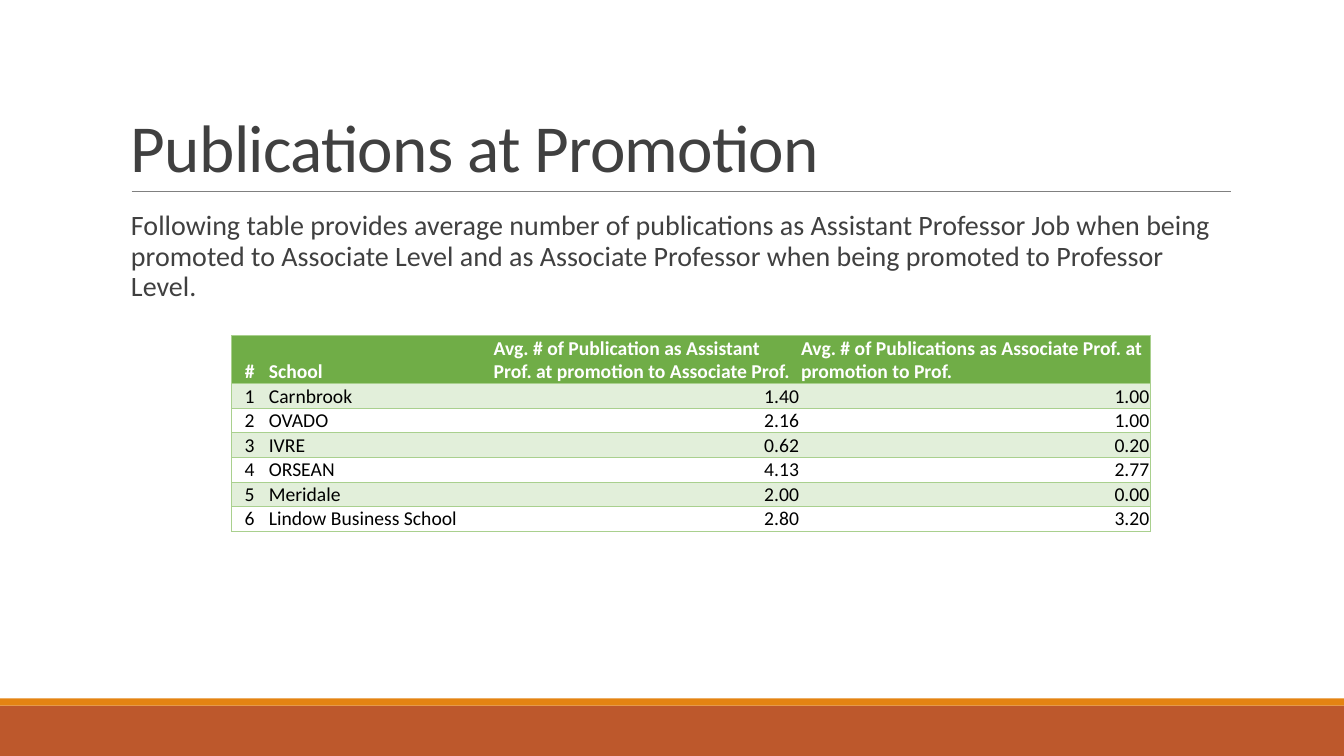
from lxml.etree import SubElement
from pptx import Presentation
from pptx.dml.color import RGBColor
from pptx.enum.shapes import MSO_CONNECTOR, MSO_SHAPE
from pptx.enum.text import MSO_ANCHOR, PP_ALIGN
from pptx.oxml.ns import qn
from pptx.util import Pt

COLORS = {
    "rust": "BD582C",
    "orange": "E48312",
    "rule": "808080",
    "text": "404040",
    "header": "70AD47",
    "band": "E2EFDA",
    "border": "A9D08E",
    "white": "FFFFFF",
    "black": "000000",
}
INTRODUCTION = (
    "Following table provides average number of publications as Assistant Professor Job "
    "when being promoted to Associate Level and as Associate Professor when being "
    "promoted to Professor Level."
)
HEADINGS = (
    "#",
    "School",
    "Avg. # of Publication as Assistant Prof. at promotion to Associate Prof.",
    "Avg. # of Publications as Associate Prof. at promotion to Prof.",
)
SCHOOLS = (
    ("Carnbrook", "1.40", "1.00"),
    ("OVADO", "2.16", "1.00"),
    ("IVRE", "0.62", "0.20"),
    ("ORSEAN", "4.13", "2.77"),
    ("Meridale", "2.00", "0.00"),
    ("Lindow Business School", "2.80", "3.20"),
)
COLUMN_WIDTHS = (25.92, 160.56, 219.6, 250.2)
ALIGNMENTS = (PP_ALIGN.CENTER, PP_ALIGN.LEFT, PP_ALIGN.RIGHT, PP_ALIGN.RIGHT)
HEADER_HEIGHT = 28.8
ROW_HEIGHT = 14.4


class SlideBuilder:
    font = "Calibri"

    def __init__(self, slide):
        self.slide = slide

    def color(self, name):
        return RGBColor.from_string(COLORS[name])

    def style(self, paragraph, size, color, bold=False):
        for run in paragraph.runs:
            run.font.name = self.font
            run.font.size = Pt(size)
            run.font.bold = bold
            run.font.color.rgb = self.color(color)

    def band(self, left, top, width, height, color):
        shape = self.slide.shapes.add_shape(
            MSO_SHAPE.RECTANGLE, Pt(left), Pt(top), Pt(width), Pt(height)
        )
        shape.shadow.inherit = False
        shape.fill.solid()
        shape.fill.fore_color.rgb = self.color(color)
        shape.line.fill.background()

    def rule(self, left, right, top, color):
        connector = self.slide.shapes.add_connector(
            MSO_CONNECTOR.STRAIGHT, Pt(left), Pt(top), Pt(right), Pt(top)
        )
        connector.line.color.rgb = self.color(color)
        connector.line.width = Pt(0.5)
        SubElement(connector._element.spPr, qn("a:effectLst"))

    def text(self, left, top, width, height, text, size, line_spacing,
             anchor=MSO_ANCHOR.TOP, side_margin=7.2):
        box = self.slide.shapes.add_textbox(Pt(left), Pt(top), Pt(width), Pt(height))
        text_frame = box.text_frame
        text_frame.word_wrap = True
        text_frame.vertical_anchor = anchor
        text_frame.margin_left = text_frame.margin_right = Pt(side_margin)
        text_frame.text = text
        paragraph = text_frame.paragraphs[0]
        paragraph.line_spacing = line_spacing
        self.style(paragraph, size, "text")
        return paragraph

    def title(self, left, top, width, height, text):
        paragraph = self.text(left, top, width, height, text, 48, 0.85, MSO_ANCHOR.BOTTOM)
        paragraph.runs[0].font._element.set("spc", "-50")

    def body(self, left, top, width, height, text):
        paragraph = self.text(left, top, width, height, text, 20, 0.9, side_margin=0)
        paragraph.space_before = Pt(12)
        paragraph.space_after = Pt(2)
        properties = paragraph._p.get_or_add_pPr()
        properties.set("marL", str(Pt(7.2)))
        properties.set("indent", str(-Pt(7.2)))
        bullet_color = SubElement(properties, qn("a:buClr"))
        SubElement(bullet_color, qn("a:srgbClr"), val=COLORS["orange"])
        SubElement(properties, qn("a:buFont"), typeface=self.font)
        SubElement(properties, qn("a:buChar"), char=" ")

    def borders(self, cell, visible_sides):
        properties = cell._tc.get_or_add_tcPr()
        for index, side in enumerate("LRTB"):
            line = SubElement(properties, qn(f"a:ln{side}"), w=str(Pt(0.5)))
            if side in visible_sides:
                fill = SubElement(line, qn("a:solidFill"))
                SubElement(fill, qn("a:srgbClr"), val=COLORS["border"])
            else:
                SubElement(line, qn("a:noFill"))
            properties.insert(index, line)

    def cell(self, cell, text, alignment, fill, color, bold):
        cell.margin_left = cell.margin_right = cell.margin_top = Pt(0.72)
        cell.margin_bottom = Pt(0)
        cell.vertical_anchor = MSO_ANCHOR.BOTTOM
        if fill:
            cell.fill.solid()
            cell.fill.fore_color.rgb = self.color(fill)
        else:
            cell.fill.background()
        cell.text_frame.text = text
        paragraph = cell.text_frame.paragraphs[0]
        paragraph.alignment = alignment
        self.style(paragraph, 14, color, bold)

    def table(self, left, top, headings, records):
        rows = [headings, *records]
        height = HEADER_HEIGHT + ROW_HEIGHT * len(records)
        frame = self.slide.shapes.add_table(
            len(rows), len(headings), Pt(left), Pt(top), Pt(sum(COLUMN_WIDTHS)), Pt(height)
        )
        table = frame.table
        table.horz_banding = False
        for column, width in zip(table.columns, COLUMN_WIDTHS):
            column.width = Pt(width)
        last_column = len(headings) - 1
        for row_index, values in enumerate(rows):
            is_header = row_index == 0
            table.rows[row_index].height = Pt(HEADER_HEIGHT if is_header else ROW_HEIGHT)
            fill = "header" if is_header else "band" if row_index % 2 else None
            for column_index, value in enumerate(values):
                alignment = ALIGNMENTS[column_index]
                if is_header and column_index > 0:
                    alignment = PP_ALIGN.LEFT
                cell = table.cell(row_index, column_index)
                self.cell(cell, value, alignment, fill,
                          "white" if is_header else "black", is_header)
                sides = {0: "LTB", last_column: "RTB"}.get(column_index, "TB")
                self.borders(cell, sides)


def main():
    presentation = Presentation()
    presentation.slide_width = Pt(960)
    presentation.slide_height = Pt(540)
    slide = presentation.slides.add_slide(presentation.slide_layouts[6])
    builder = SlideBuilder(slide)
    builder.band(0, 504, 960, 36, "rust")
    builder.band(0, 498.9, 960, 5.1, "orange")
    builder.rule(94, 879, 136.8, "rule")
    builder.title(86.4, 22.5, 792, 114.3, "Publications at Promotion")
    builder.body(86.4, 147.6, 792, 316.8, INTRODUCTION)
    records = [(str(number), *school) for number, school in enumerate(SCHOOLS, 1)]
    builder.table(165.4, 239.6, HEADINGS, records)
    presentation.save("out.pptx")


if __name__ == "__main__":
    main()
